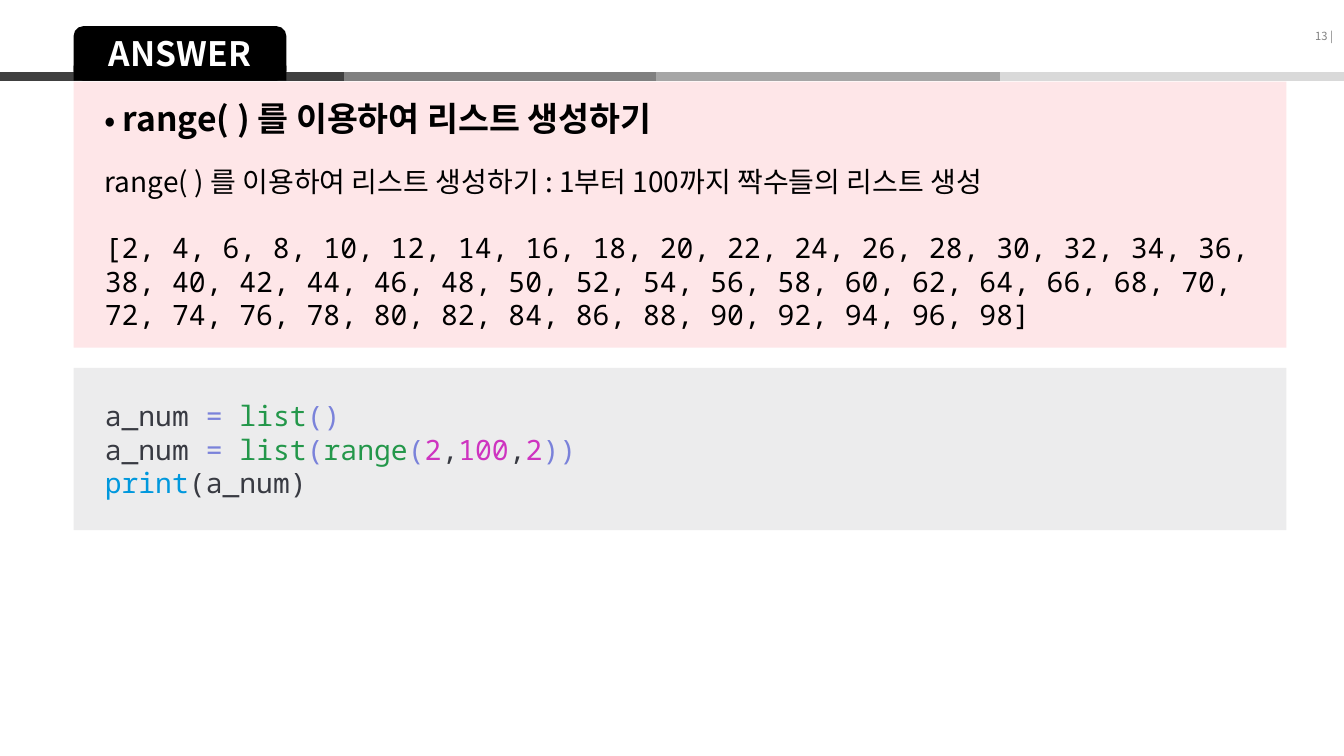
from pptx import Presentation
from pptx.dml.color import RGBColor
from pptx.enum import shapes, text
from pptx.oxml import ns
from pptx.util import Inches, Pt
from lxml import etree

SANS, MONO = "Noto Sans CJK KR", "Noto Sans Mono"
BLACK, WHITE, GREY = "000000", "FFFFFF", "808080"
INK, SIGN, BUILTIN, NUMBER, CALL = "383A42", "7A82DA", "23974A", "CE33C0", "0098DD"

PAGE = "13 |"
TAB = "ANSWER"
HEADING = "range( ) 를 이용하여 리스트 생성하기"
TASK = "range( ) 를 이용하여 리스트 생성하기 : 1부터 100까지 짝수들의 리스트 생성"
RESULT = str(list(range(2, 100, 2)))
CODE = [
    [("a_num ", INK), ("= ", SIGN), ("list", BUILTIN), ("()", SIGN)],
    [("a_num ", INK), ("= ", SIGN), ("list", BUILTIN), ("(", SIGN),
     ("range", BUILTIN), ("(", SIGN), ("2", NUMBER), (",", INK),
     ("100", NUMBER), (",", INK), ("2", NUMBER), ("))", SIGN)],
    [("print", CALL), ("(a_num)", INK)],
]
# Start of each bar; the dark one lies over the start of the next
BARS = [(3.1, GREY), (6.51, "A6A6A6"), (9.92, "D9D9D9"), (0, "404040")]
BAR_Y, BAR_W = 0.76, 3.41
LEFT, PANEL_W, TAB_W = 0.73, 12.03, 2.11


def rgb(code):
    return RGBColor.from_string(code)


def add_block(s, kind, box, fill):
    sp = s.shapes.add_shape(kind, *map(Inches, box))
    sp.shadow.inherit = False
    sp.fill.solid()
    sp.fill.fore_color.rgb = rgb(fill)
    sp.line.fill.background()
    return sp


def add_panel(s, top, height, fill):
    """Add a full-width panel and return its text frame."""
    sp = add_block(s, shapes.MSO_SHAPE.RECTANGLE, (LEFT, top, PANEL_W, height), fill)
    tf = sp.text_frame
    tf.word_wrap = True
    tf.vertical_anchor = text.MSO_ANCHOR.MIDDLE
    tf.margin_left = Inches(0.31)
    return tf


def write(tf, runs, size, font, bold=False, before=0, align=text.PP_ALIGN.LEFT):
    """Fill the empty first paragraph, or add one, with (words, colour) runs."""
    p = tf.paragraphs[0]
    if p.runs:
        p = tf.add_paragraph()
        p.space_before = Pt(before)
    p.alignment = align
    for words, colour in runs:
        r = p.add_run()
        r.text = words
        r.font.size, r.font.name, r.font.bold = Pt(size), font, bold
        r.font.color.rgb = rgb(colour)
        etree.SubElement(r.font._element, ns.qn("a:ea"), typeface=font)
    return p


def add_bullet(p, indent):
    pPr = p._p.get_or_add_pPr()
    pPr.set("marL", str(Inches(indent)))
    pPr.set("indent", str(-Inches(indent)))
    etree.SubElement(pPr, ns.qn("a:buFont"), typeface=SANS)
    etree.SubElement(pPr, ns.qn("a:buChar"), char="•")


def add_bars(s):
    for x, colour in BARS:
        line = s.shapes.add_connector(
            shapes.MSO_CONNECTOR.STRAIGHT,
            Inches(x), Inches(BAR_Y), Inches(x + BAR_W), Inches(BAR_Y))
        line.line.color.rgb = rgb(colour)
        line.line.width = Pt(6)
        etree.SubElement(line._element.spPr, ns.qn("a:effectLst"))


def add_page_number(s):
    tf = s.shapes.add_textbox(*map(Inches, (12.27, 0.1, 1.05, 0.51))).text_frame
    tf.word_wrap = True
    tf.vertical_anchor = text.MSO_ANCHOR.MIDDLE
    write(tf, [(PAGE, GREY)], 8, SANS, align=text.PP_ALIGN.RIGHT)


def add_tab(s):
    add_block(s, shapes.MSO_SHAPE.RECTANGLE, (LEFT, 0.65, TAB_W, 0.15), BLACK)
    tab = add_block(s, shapes.MSO_SHAPE.ROUNDED_RECTANGLE,
                    (LEFT, 0.26, TAB_W, 0.54), BLACK)
    tab.adjustments[0] = 0.18
    tf = tab.text_frame
    tf.vertical_anchor = text.MSO_ANCHOR.MIDDLE
    write(tf, [(TAB, WHITE)], 24, SANS, bold=True, align=text.PP_ALIGN.CENTER)


def main():
    prs = Presentation()
    prs.slide_width, prs.slide_height = Inches(13.33), Inches(7.5)
    s = prs.slides.add_slide(prs.slide_layouts[6])

    add_bars(s)
    add_page_number(s)

    answer = add_panel(s, 0.81, 2.64, "FEE6E8")
    add_bullet(write(answer, [(HEADING, BLACK)], 24, SANS, bold=True), 0.18)
    write(answer, [(TASK, BLACK)], 20, SANS, before=19)
    write(answer, [(RESULT, BLACK)], 20, MONO, before=23)

    add_tab(s)

    code = add_panel(s, 3.65, 1.61, "ECECED")
    for line in CODE:
        write(code, line, 20, MONO)

    prs.save("out.pptx")


if __name__ == "__main__":
    main()
